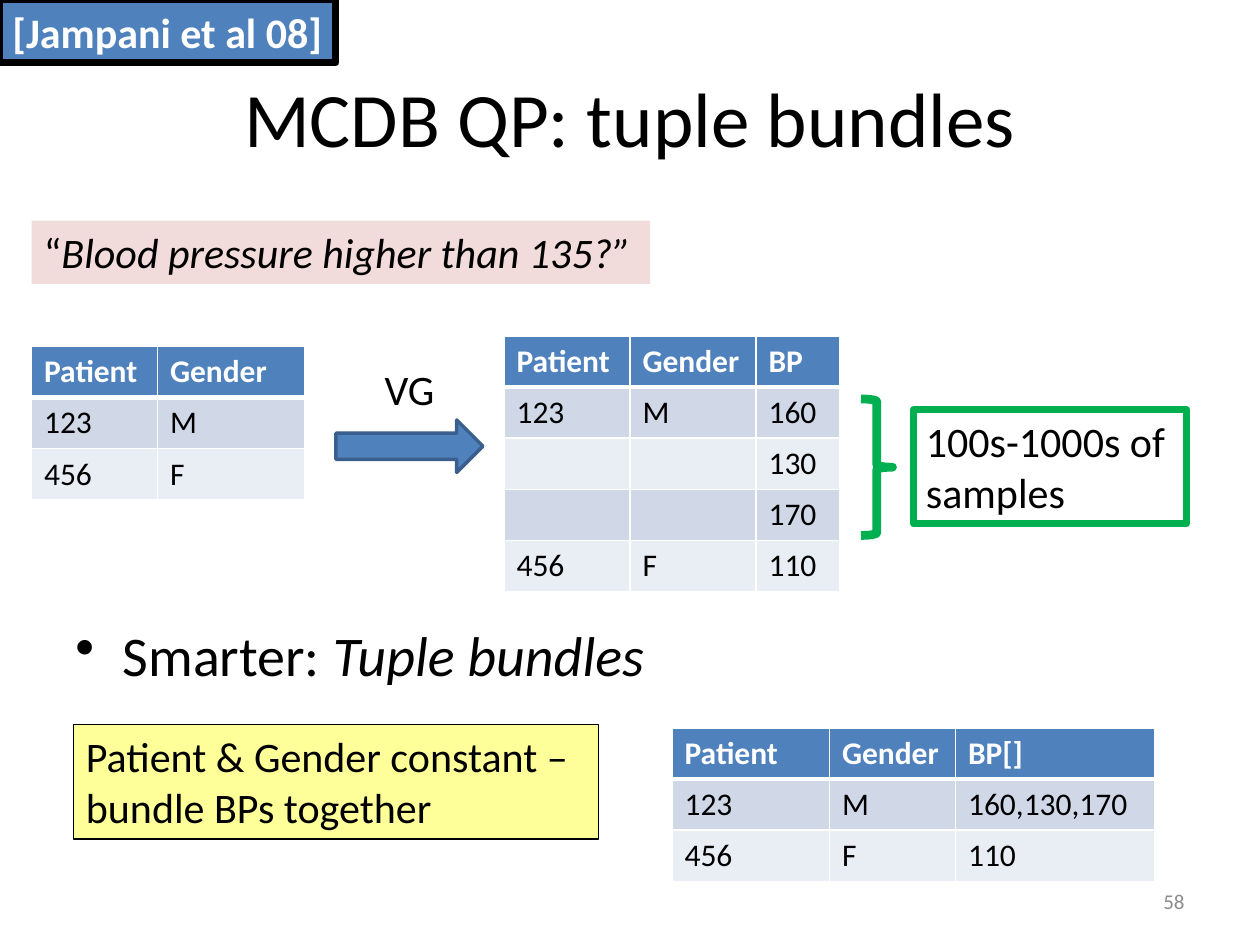
import pptx
import pptx.dml.color
import pptx.enum.shapes
import pptx.enum.text
import pptx.oxml
import pptx.oxml.ns
import pptx.util

Pt = pptx.util.Pt
RGBColor = pptx.dml.color.RGBColor
SHAPE = pptx.enum.shapes.MSO_SHAPE
ALIGN = pptx.enum.text.PP_ALIGN
ANCHOR = pptx.enum.text.MSO_ANCHOR

BLACK = RGBColor(0x00, 0x00, 0x00)
WHITE = RGBColor(0xFF, 0xFF, 0xFF)
BLUE = RGBColor(0x4F, 0x81, 0xBD)
DARK_BLUE = RGBColor(0x3A, 0x5F, 0x8C)
DARK_BAND = RGBColor(0xD0, 0xD8, 0xE8)
LIGHT_BAND = RGBColor(0xE9, 0xED, 0xF4)
GREEN = RGBColor(0x00, 0xB0, 0x50)
YELLOW = RGBColor(0xFF, 0xFF, 0x99)
PINK = RGBColor(0xF2, 0xDC, 0xDB)
GRAY = RGBColor(0x8C, 0x8C, 0x8C)
FONT = "Calibri"
ROW_HEIGHT = 29.2


def set_font(paragraph, size, color=BLACK, bold=False):
    font = paragraph.font
    font.name, font.size, font.bold = FONT, Pt(size), bold
    font.color.rgb = color


def write(frame, runs, size, color=BLACK, bold=False, align=ALIGN.LEFT, anchor=ANCHOR.TOP):
    """Fill a text frame with one paragraph of (text, italic) runs."""
    frame.word_wrap = True
    frame.vertical_anchor = anchor
    paragraph = frame.paragraphs[0]
    paragraph.alignment = align
    set_font(paragraph, size, color, bold)
    for text, italic in runs:
        run = paragraph.add_run()
        run.text = text
        if italic:
            run.font.italic = True
    return paragraph


def add_label(slide, box, runs, size, **style):
    label = slide.shapes.add_textbox(*map(Pt, box))
    return write(label.text_frame, runs, size, **style)


def add_figure(slide, kind, box, fill=None, line=None, line_width=0.75):
    figure = slide.shapes.add_shape(kind, *map(Pt, box))
    figure.shadow.inherit = False
    if fill is None:
        figure.fill.background()
    else:
        figure.fill.solid()
        figure.fill.fore_color.rgb = fill
    if line is None:
        figure.line.fill.background()
    else:
        figure.line.color.rgb = line
        figure.line.width = Pt(line_width)
    return figure


def add_note(slide, box, runs, color=BLACK, bold=False, **look):
    note = add_figure(slide, SHAPE.RECTANGLE, box, **look)
    write(note.text_frame, runs, 24, color, bold)


def set_borders(cell, row):
    """Draw white cell borders, with a thicker rule under the header."""
    widths = {"L": 1, "R": 1, "T": 3 if row == 1 else 1, "B": 3 if row == 0 else 1}
    properties = cell._tc.get_or_add_tcPr()
    for place, (side, width) in enumerate(widths.items()):
        properties.insert(place, pptx.oxml.parse_xml(
            f'<a:ln{side} {pptx.oxml.ns.nsdecls("a")} w="{Pt(width)}">'
            f'<a:solidFill><a:srgbClr val="{WHITE}"/></a:solidFill></a:ln{side}>'))


def add_patients(slide, left, top, widths, rows):
    """Place a patient table whose first row is the header."""
    patients = slide.shapes.add_table(
        len(rows), len(widths), Pt(left), Pt(top),
        Pt(sum(widths)), Pt(ROW_HEIGHT * len(rows))).table
    for column, width in zip(patients.columns, widths):
        column.width = Pt(width)
    for r, values in enumerate(rows):
        patients.rows[r].height = Pt(ROW_HEIGHT)
        for c, value in enumerate(values):
            cell = patients.cell(r, c)
            cell.text = value
            header = r == 0
            set_font(cell.text_frame.paragraphs[0], 18, WHITE if header else BLACK, header)
            cell.fill.solid()
            cell.fill.fore_color.rgb = BLUE if header else (LIGHT_BAND, DARK_BAND)[r % 2]
            set_borders(cell, r)


def add_heading(slide, left, top, width):
    add_label(slide, (left, top + 21.6, width, 90), [("MCDB QP: tuple bundles", False)], 44,
              align=ALIGN.CENTER, anchor=ANCHOR.MIDDLE)
    add_note(slide, (0, top, 192, 36), [("[Jampani et al 08]", False)], WHITE, True,
             fill=BLUE, line=BLACK, line_width=4)


def add_sampling(slide, left, top):
    """Place the query and the patients before and after the VG function."""
    add_note(slide, (left, top, 353.5, 36.3),
             [("“", False), ("Blood pressure higher than 135?”", True)], fill=PINK)
    add_patients(slide, left, top + 72, (72, 84),
                 [("Patient", "Gender"), ("123", "M"), ("456", "F")])
    add_label(slide, (left + 174, top + 78, 84, 36), [("VG", False)], 24, align=ALIGN.CENTER)
    add_figure(slide, SHAPE.RIGHT_ARROW, (left + 174, top + 114, 84, 30), BLUE, DARK_BLUE, 2)
    add_patients(slide, left + 270, top + 66, (72, 72, 48),
                 [("Patient", "Gender", "BP"), ("123", "M", "160"), ("", "", "130"),
                  ("", "", "170"), ("456", "F", "110")])
    add_figure(slide, SHAPE.RIGHT_BRACE, (left + 474, top + 102, 18, 78),
               line=GREEN, line_width=5)
    add_note(slide, (left + 504, top + 108, 156, 65.4), [("100s-1000s of samples", False)],
             line=GREEN, line_width=4)


def add_bundles(slide, left, top):
    """Place the bullet, its explanation and the bundled patients."""
    bullet = add_label(slide, (left, top, 648, 46),
                       [("Smarter: ", False), ("Tuple bundles", True)], 32)
    properties = bullet._p.get_or_add_pPr()
    properties.set("marL", str(Pt(27)))
    properties.set("indent", str(Pt(-27)))
    mark = pptx.oxml.parse_xml(f'<a:buChar {pptx.oxml.ns.nsdecls("a")} char="•"/>')
    properties.insert(0, mark)
    add_note(slide, (left + 6, top + 63, 300, 65.4),
             [("Patient & Gender constant – bundle BPs together", False)],
             fill=YELLOW, line=BLACK)
    add_patients(slide, left + 348, top + 65, (90, 72, 114),
                 [("Patient", "Gender", "BP[]"), ("123", "M", "160,130,170"),
                  ("456", "F", "110")])


def main():
    deck = pptx.Presentation()
    deck.slide_width, deck.slide_height = Pt(720), Pt(540)
    slide = deck.slides.add_slide(deck.slide_layouts[6])
    add_heading(slide, 36, 0, 648)
    add_sampling(slide, 18, 126)
    add_bundles(slide, 36, 351)
    add_label(slide, (516, 500.5, 168, 28.75), [("58", False)], 12, color=GRAY,
              align=ALIGN.RIGHT, anchor=ANCHOR.MIDDLE)
    deck.save("out.pptx")


if __name__ == "__main__":
    main()
